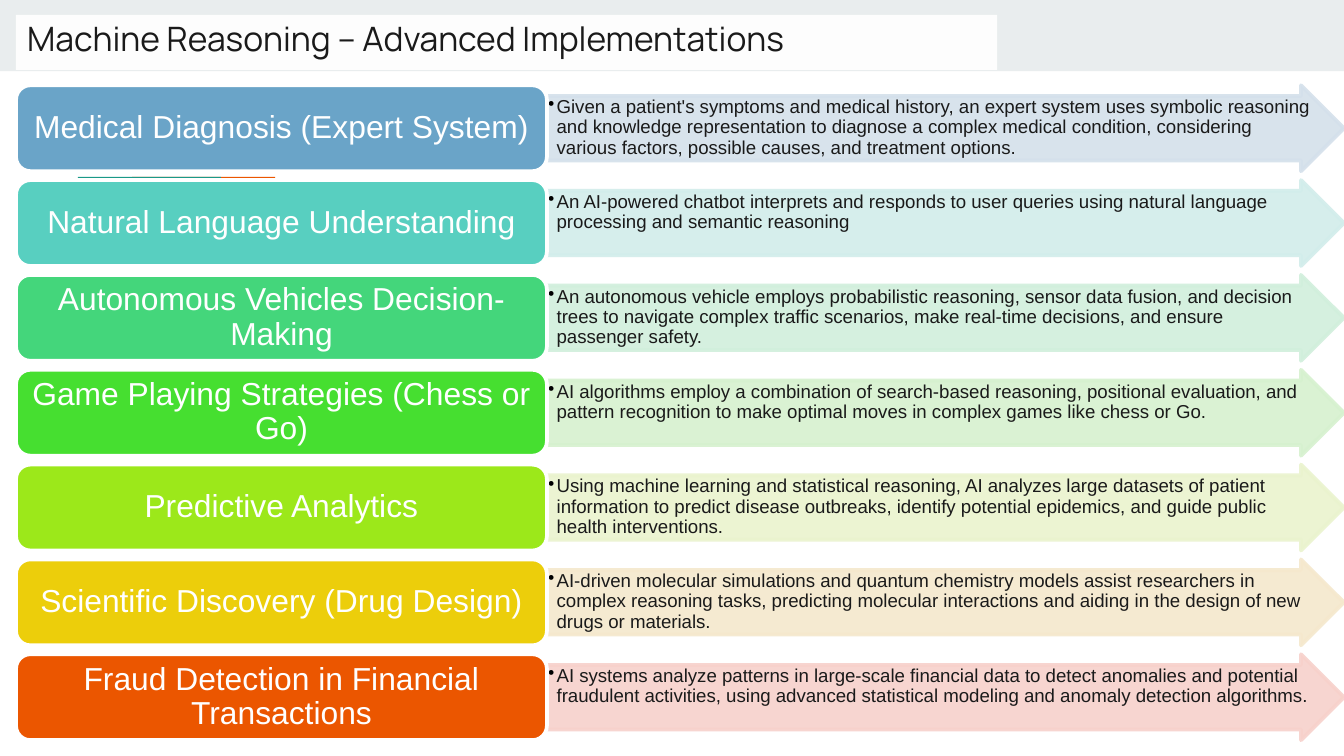
from lxml import etree
from pptx import Presentation
from pptx.dml.color import RGBColor
from pptx.enum import shapes, text
from pptx.oxml import ns
from pptx.util import Pt

WHITE = RGBColor(0xFF, 0xFF, 0xFF)
BAND = RGBColor(0xE9, 0xED, 0xEE)
PANEL = RGBColor(0xFD, 0xFD, 0xFD)
INK = RGBColor(0x1A, 0x1A, 0x1A)
ORANGE = RGBColor(0xEB, 0x56, 0x00)
TEAL = RGBColor(0x1A, 0x99, 0x88)

# Label, description, label colour, arrow colour
TOPICS = [
    ("Medical Diagnosis (Expert System)",
     "Given a patient's symptoms and medical history, an expert system uses symbolic "
     "reasoning and knowledge representation to diagnose a complex medical condition, "
     "considering various factors, possible causes, and treatment options.",
     RGBColor(0x6A, 0xA4, 0xC8), RGBColor(0xD4, 0xE0, 0xEB)),
    ("Natural Language Understanding",
     "An AI-powered chatbot interprets and responds to user queries using natural "
     "language processing and semantic reasoning",
     RGBColor(0x58, 0xCF, 0xC0), RGBColor(0xD2, 0xED, 0xEB)),
    ("Autonomous Vehicles Decision-Making",
     "An autonomous vehicle employs probabilistic reasoning, sensor data fusion, and "
     "decision trees to navigate complex traffic scenarios, make real-time decisions, "
     "and ensure passenger safety.",
     RGBColor(0x44, 0xD6, 0x7B), RGBColor(0xD1, 0xEF, 0xDC)),
    ("Game Playing Strategies (Chess or Go)",
     "AI algorithms employ a combination of search-based reasoning, positional "
     "evaluation, and pattern recognition to make optimal moves in complex games like "
     "chess or Go.",
     RGBColor(0x46, 0xDF, 0x30), RGBColor(0xD6, 0xF1, 0xCF)),
    ("Predictive Analytics",
     "Using machine learning and statistical reasoning, AI analyzes large datasets of "
     "patient information to predict disease outbreaks, identify potential epidemics, "
     "and guide public health interventions.",
     RGBColor(0x9C, 0xE8, 0x1A), RGBColor(0xEA, 0xF3, 0xCE)),
    ("Scientific Discovery (Drug Design)",
     "AI-driven molecular simulations and quantum chemistry models assist researchers "
     "in complex reasoning tasks, predicting molecular interactions and aiding in the "
     "design of new drugs or materials.",
     RGBColor(0xEC, 0xCE, 0x0B), RGBColor(0xF5, 0xE8, 0xCD)),
    ("Fraud Detection in Financial Transactions",
     "AI systems analyze patterns in large-scale financial data to detect anomalies "
     "and potential fraudulent activities, using advanced statistical modeling and "
     "anomaly detection algorithms.",
     ORANGE, RGBColor(0xF7, 0xD1, 0xCB)),
]


class SlideBuilder:
    """Holds the text style and the current slide."""

    heading_font = "Manrope"
    body_font = "Arial"

    def __init__(self, slide):
        self.slide = slide

    def block(self, kind, left, top, width, height, fill, line=None):
        shape = self.slide.shapes.add_shape(
            kind, Pt(left), Pt(top), Pt(width), Pt(height))
        shape.shadow.inherit = False
        shape.fill.solid()
        shape.fill.fore_color.rgb = fill
        if line is None:
            shape.line.fill.background()
        else:
            shape.line.color.rgb = line
            shape.line.width = Pt(2)
        return shape

    def arrow(self, left, top, width, height, color):
        shape = self.block(shapes.MSO_SHAPE.RIGHT_ARROW,
                           left, top, width, height, color, color)
        shape.adjustments[0] = 0.75
        shape.adjustments[1] = 0.5
        # Fill and outline are both 90 % opaque
        for color_element in shape.element.spPr.iter(ns.qn("a:srgbClr")):
            etree.SubElement(color_element, ns.qn("a:alpha"), val="90000")

    def set_text(self, shape, words, size, color, font, spacing, inset_x, inset_y,
                 anchor=text.MSO_ANCHOR.TOP, align=text.PP_ALIGN.LEFT, bullet=False):
        frame = shape.text_frame
        frame.word_wrap = True
        frame.vertical_anchor = anchor
        frame.margin_left = frame.margin_right = Pt(inset_x)
        frame.margin_top = frame.margin_bottom = Pt(inset_y)
        frame.text = words
        paragraph = frame.paragraphs[0]
        paragraph.alignment = align
        paragraph.line_spacing = spacing
        if bullet:
            self.add_bullet(paragraph)
        run_font = paragraph.runs[0].font
        run_font.name = font
        run_font.size = Pt(size)
        run_font.color.rgb = color

    def add_bullet(self, paragraph):
        paragraph.level = 1
        properties = paragraph._p.get_or_add_pPr()
        properties.set("marL", str(int(Pt(4.5))))
        properties.set("indent", str(-int(Pt(4.5))))
        bullet_color = etree.SubElement(properties, ns.qn("a:buClr"))
        etree.SubElement(bullet_color, ns.qn("a:srgbClr"), val="000000")
        etree.SubElement(properties, ns.qn("a:buChar"), char="•")

    def text_box(self, left, top, width, height, words, size, color, **layout):
        shape = self.slide.shapes.add_textbox(
            Pt(left), Pt(top), Pt(width), Pt(height))
        self.set_text(shape, words, size, color, self.body_font, 0.9, **layout)

    def title(self, left, top, width, height, words):
        shape = self.block(shapes.MSO_SHAPE.RECTANGLE,
                           left, top, width, height, PANEL)
        self.set_text(shape, words, 18, INK, self.heading_font, 0.8, 6, 6)

    def topic(self, top, label, description, label_color, arrow_color):
        self.arrow(293, top, 427, 46, arrow_color)
        self.text_box(293, top + 5.8, 409.7, 34.5, description, 10, INK,
                      inset_x=0.7, inset_y=0.7, bullet=True)
        self.block(shapes.MSO_SHAPE.ROUNDED_RECTANGLE,
                   8.6, top, 284.4, 46, label_color, WHITE)
        self.text_box(10.9, top + 2.2, 279.9, 41.5, label, 17, WHITE,
                      inset_x=5, inset_y=2.9, anchor=text.MSO_ANCHOR.MIDDLE,
                      align=text.PP_ALIGN.CENTER)


def main():
    presentation = Presentation()
    presentation.slide_width = Pt(720)
    presentation.slide_height = Pt(405)
    slide = presentation.slides.add_slide(presentation.slide_layouts[6])
    builder = SlideBuilder(slide)

    # Header band, accent rule and title
    rectangle = shapes.MSO_SHAPE.RECTANGLE
    builder.block(rectangle, 0, 0, 720, 38.2, BAND)
    builder.block(rectangle, 70.8, 94.8, 76.6, 1.1, ORANGE)
    builder.block(rectangle, 41.8, 94.8, 76.6, 1.1, TEAL)
    builder.title(8.6, 7.9, 525.6, 29.5, "Machine Reasoning – Advanced Implementations")

    # One row per topic
    first_top, pitch = 45.7, 50.8
    for index, topic in enumerate(TOPICS):
        builder.topic(first_top + index * pitch, *topic)

    presentation.save("out.pptx")


if __name__ == "__main__":
    main()
